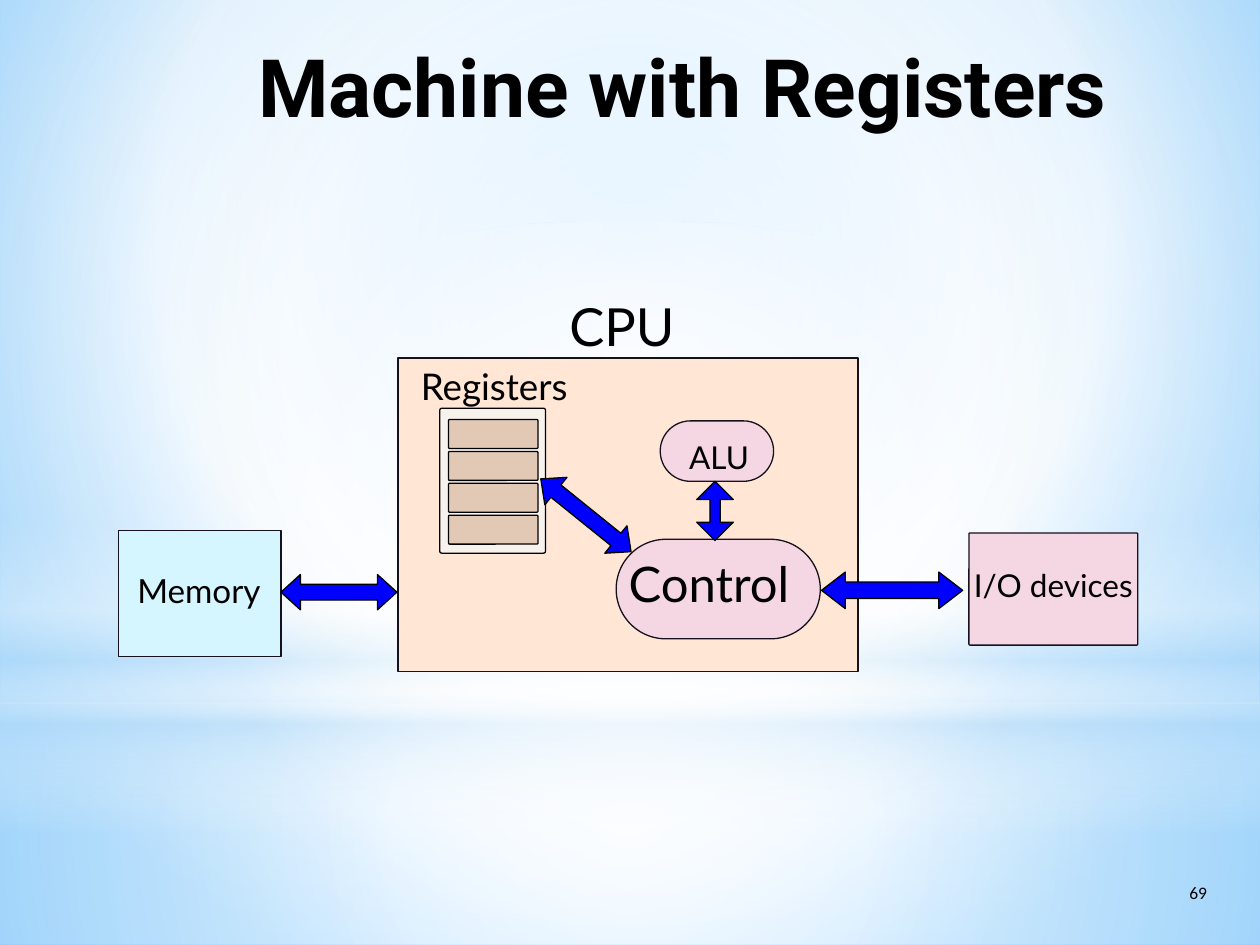
from lxml import etree
from pptx import Presentation
from pptx.dml.color import RGBColor
from pptx.enum.shapes import MSO_SHAPE
from pptx.enum.text import MSO_ANCHOR, MSO_AUTO_SIZE, PP_ALIGN
from pptx.oxml.ns import qn
from pptx.util import Inches, Pt

RECTANGLE, ROUNDED = MSO_SHAPE.RECTANGLE, MSO_SHAPE.ROUNDED_RECTANGLE
OVAL = MSO_SHAPE.OVAL
ACROSS, UPRIGHT = MSO_SHAPE.LEFT_RIGHT_ARROW, MSO_SHAPE.UP_DOWN_ARROW
MIDDLE = MSO_ANCHOR.MIDDLE
FIT_SHAPE, NO_FIT = MSO_AUTO_SIZE.SHAPE_TO_FIT_TEXT, MSO_AUTO_SIZE.NONE
RIGHT = PP_ALIGN.RIGHT

BLACK = RGBColor(0x00, 0x00, 0x00)
INK = RGBColor(0x15, 0x11, 0x1D)
WHITE = RGBColor(0xFF, 0xFF, 0xFF)
SKY = RGBColor(0x9E, 0xD5, 0xFF)
DEEP_SKY = RGBColor(0x5B, 0xB9, 0xFF)
MIST = RGBColor(0xB4, 0xDC, 0xFA)
PEACH = RGBColor(0xFF, 0xE6, 0xD5)
AQUA = RGBColor(0xD5, 0xF6, 0xFF)
PINK = RGBColor(0xF4, 0xD7, 0xE3)
CREAM = RGBColor(0xF8, 0xF2, 0xED)
TAN = RGBColor(0xE2, 0xC9, 0xB5)
BLUE = RGBColor(0x00, 0x00, 0xFF)

CENTRE = (50, 50, 50, 50)


def write(frame, text, size, font="Lato", bold=False, align=None):
    """Put one formatted line of text in a text frame."""
    para = frame.paragraphs[0]
    para.alignment = align
    span = para.add_run()
    span.text = text
    span.font.name = font
    span.font.size = Pt(size)
    span.font.bold = bold
    span.font.color.rgb = BLACK


class Diagram:
    def __init__(self, deck):
        self.page = deck.slides.add_slide(deck.slide_layouts[5])

    def gradient(self, element, stops, focus=None, angle=0):
        """Swap the solid fill in element for stops of (position, colour, opacity)."""
        solid = element.find(".//" + qn("a:solidFill"))
        fill = etree.Element(qn("a:gradFill"), rotWithShape="1")
        stop_list = etree.SubElement(fill, qn("a:gsLst"))
        for position, colour, opacity in stops:
            stop = etree.SubElement(stop_list, qn("a:gs"), pos=str(position * 1000))
            tint = etree.SubElement(stop, qn("a:srgbClr"), val=str(colour))
            if opacity < 100:
                etree.SubElement(tint, qn("a:alpha"), val=str(opacity * 1000))
        if focus:
            shade = etree.SubElement(fill, qn("a:path"), {"path": "circle"})
            sides = {side: str(value * 1000) for side, value in zip("ltrb", focus)}
            etree.SubElement(shade, qn("a:fillToRect"), sides)
        else:
            etree.SubElement(fill, qn("a:lin"), ang=str(angle * 60000), scaled="0")
        solid.getparent().replace(solid, fill)

    def background(self, stops, focus):
        self.page.background.fill.solid()
        self.page.background.fill.fore_color.rgb = WHITE
        self.gradient(self.page.element.find(".//" + qn("p:bgPr")), stops, focus)

    def shape(self, kind, box, fill, line=INK, adjust=()):
        shape = self.page.shapes.add_shape(kind, *map(Inches, box))
        shape.shadow.inherit = False
        shape.fill.solid()
        shape.fill.fore_color.rgb = fill
        if line is None:
            shape.line.fill.background()
        else:
            shape.line.color.rgb = line
            shape.line.width = Pt(0)
        for index, value in enumerate(adjust):
            shape.adjustments[index] = value
        return shape

    def glow(self, kind, box, stops, focus=None, angle=0):
        shape = self.shape(kind, box, WHITE, line=None)
        self.gradient(shape.element.spPr, stops, focus, angle)

    def arrow(self, kind, box, head, turn=0):
        """Double arrow; head is its length as a share of the arrow's breadth."""
        shape = self.shape(kind, box, BLUE, line=BLACK, adjust=(0.45, head))
        shape.rotation = turn

    def label(self, text, box, size):
        frame = self.page.shapes.add_textbox(*map(Inches, box)).text_frame
        frame.margin_left = frame.margin_right = 0
        frame.margin_top = frame.margin_bottom = 0
        frame.word_wrap = False
        frame.auto_size = FIT_SHAPE
        write(frame, text, size)

    def title(self, text, box):
        title = self.page.shapes.title
        title.left, title.top, title.width, title.height = map(Inches, box)
        frame = title.text_frame
        frame.margin_left = frame.margin_right = 0
        frame.margin_top = frame.margin_bottom = 0
        frame.word_wrap = True
        frame.auto_size = NO_FIT
        frame.vertical_anchor = MIDDLE
        write(frame, text, 46, font="Roboto", bold=True, align=RIGHT)
        # Bring the title in front of the backdrop
        self.page.shapes.element.append(title.element)

    def page_number(self, text, box):
        frame = self.page.shapes.add_textbox(*map(Inches, box)).text_frame
        frame.word_wrap = True
        write(frame, text, 10, font="Calibri")


def main():
    deck = Presentation()
    deck.slide_width, deck.slide_height = Inches(10), Inches(7.5)
    diagram = Diagram(deck)

    # Backdrop
    diagram.background([(0, SKY, 100), (60, WHITE, 100), (100, DEEP_SKY, 100)],
                       (20, 10, 20, 60))
    diagram.glow(RECTANGLE, (0, 5.58, 10, 1.92),
                 [(0, WHITE, 91), (37, WHITE, 76), (100, MIST, 79)], CENTRE)
    diagram.glow(RECTANGLE, (0, 0, 10, 5.58),
                 [(0, WHITE, 89), (48, WHITE, 62), (100, MIST, 79)], CENTRE)
    diagram.glow(RECTANGLE, (0, 4.12, 10, 2.5),
                 [(0, WHITE, 0), (29, WHITE, 30), (45, MIST, 40),
                  (55, WHITE, 26), (65, MIST, 60), (100, WHITE, 0)], angle=90)
    diagram.glow(OVAL, (0, 1.75, 10, 5.58),
                 [(0, WHITE, 100), (56, WHITE, 0)], CENTRE)

    diagram.title("Machine with Registers", (0.67, 0.17, 8.11, 1.02))

    # CPU, memory and devices
    diagram.shape(RECTANGLE, (3.16, 2.84, 3.65, 2.49), PEACH)
    diagram.shape(RECTANGLE, (0.94, 4.21, 1.29, 1), AQUA)
    diagram.shape(ROUNDED, (4.89, 4.28, 1.62, 0.79), PINK, adjust=(0.5,))
    diagram.shape(ROUNDED, (5.24, 3.34, 0.9, 0.48), PINK, adjust=(0.5,))
    diagram.shape(ROUNDED, (7.69, 4.23, 1.34, 0.89), PINK, adjust=(0.01,))

    # Register file
    diagram.shape(ROUNDED, (3.49, 3.24, 0.84, 1.15), CREAM, BLACK, (0.02,))
    for row in range(4):
        top = 3.33 + row * 0.253
        diagram.shape(ROUNDED, (3.56, top, 0.71, 0.23), TAN, BLACK, (0.04,))

    # Data paths
    diagram.arrow(ACROSS, (6.52, 4.54, 1.12, 0.29), 0.65)
    diagram.arrow(ACROSS, (2.23, 4.56, 0.92, 0.28), 0.55)
    diagram.arrow(UPRIGHT, (5.53, 3.82, 0.29, 0.47), 0.28)
    diagram.arrow(ACROSS, (4.19, 3.95, 0.92, 0.28), 0.55, turn=38.9)

    # Labels
    for text, box, size in (
        ("CPU", (4.52, 2.33, 1.1, 0.57), 30),
        ("Control", (4.99, 4.39, 1.43, 0.52), 28),
        ("ALU", (5.47, 3.48, 0.6, 0.34), 18),
        ("Memory", (1.09, 4.53, 1.15, 0.37), 19),
        ("I/O devices", (7.73, 4.49, 1.44, 0.35), 18),
        ("Registers", (3.34, 2.89, 1.36, 0.39), 21),
    ):
        diagram.label(text, box, size)
    diagram.page_number("69", (9.34, 6.95, 0.61, 0.4))

    deck.save("out.pptx")


if __name__ == "__main__":
    main()
